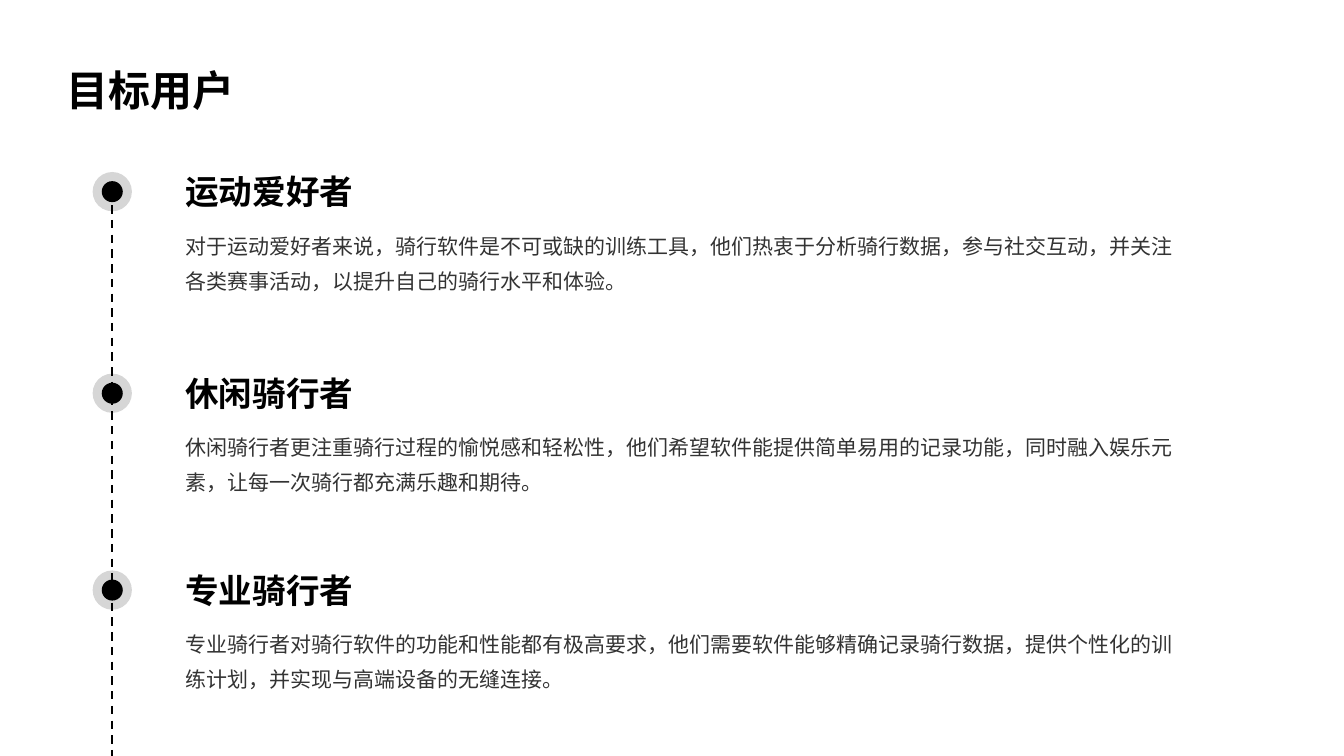
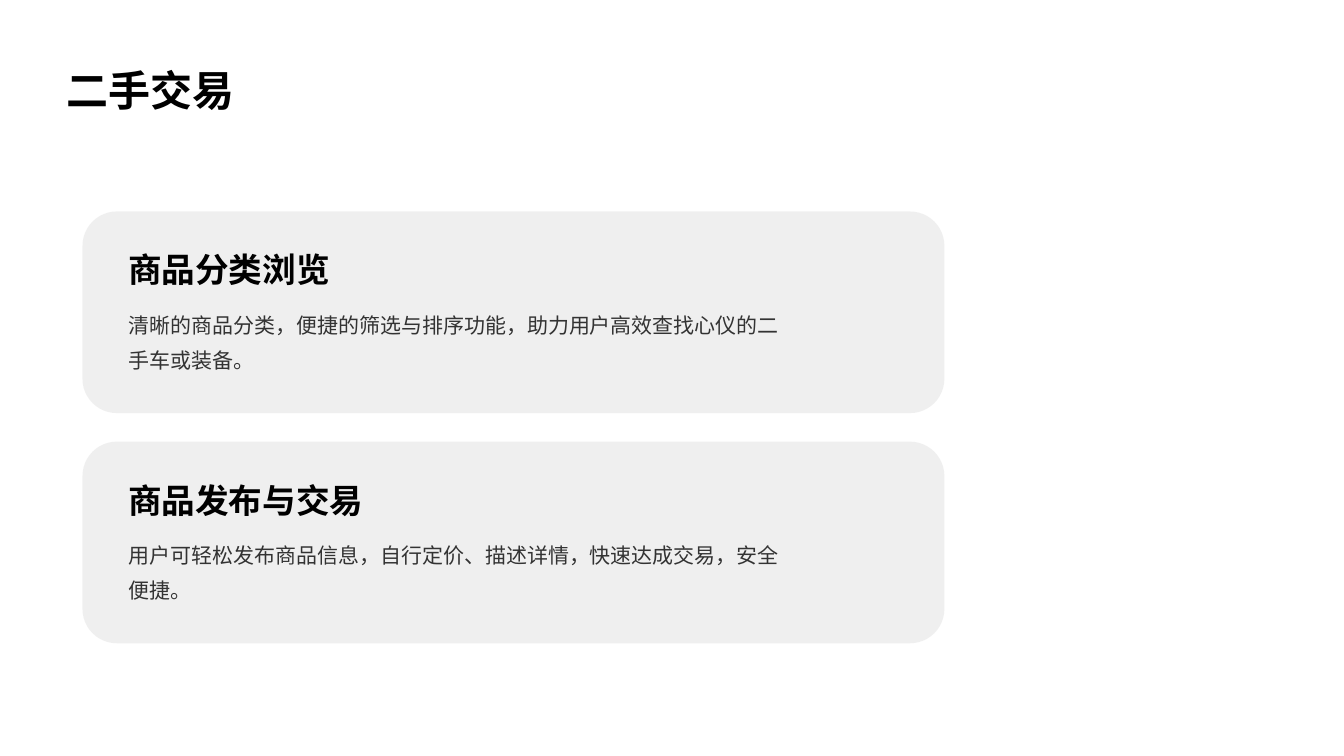
from lxml.etree import SubElement as Sub
from pptx import Presentation as Deck
from pptx.dml.color import RGBColor as RGB
from pptx.enum.dml import MSO_LINE as Dash
from pptx.enum.shapes import MSO_CONNECTOR as Link, MSO_SHAPE as Form
from pptx.enum.text import MSO_ANCHOR as Anchor
from pptx.oxml.ns import qn
from pptx.util import Cm, Pt

BLACK = RGB(0x00, 0x00, 0x00)
GREY = RGB(0x33, 0x33, 0x33)
PALE = RGB(0xEC, 0xEC, 0xEC)
FACE = "Noto Sans CJK SC"
WIDE, HIGH = 33.87, 19.05

SIDES = ("margin_left", "margin_top", "margin_right", "margin_bottom")
FLUSH = dict.fromkeys(SIDES, 0)
INSET = dict(zip(SIDES, map(Cm, (0.36, 0.36, 0.15, 0.36))))
TITLE = {"size": Pt(30), "bold": True}
HEAD = {"size": Pt(24), "bold": True}
BODY = {"size": Pt(15), "bold": False}

USERS = (
    (3.78, "运动爱好者", "对于运动爱好者来说，骑行软件是不可或缺的训练工具，他们热衷于分析骑行数据，参与社交互动，并关注各类赛事活动，以提升自己的骑行水平和体验。"),
    (8.86, "休闲骑行者", "休闲骑行者更注重骑行过程的愉悦感和轻松性，他们希望软件能提供简单易用的记录功能，同时融入娱乐元素，让每一次骑行都充满乐趣和期待。"),
    (13.82, "专业骑行者", "专业骑行者对骑行软件的功能和性能都有极高要求，他们需要软件能够精确记录骑行数据，提供个性化的训练计划，并实现与高端设备的无缝连接。"),
)
CARDS = (
    ("商品分类浏览", "清晰的商品分类，便捷的筛选与排序功能，助力用户高效查找心仪的二手车或装备。"),
    ("商品发布与交易", "用户可轻松发布商品信息，自行定价、描述详情，快速达成交易，安全便捷。"),
)


def apply(target, values):
    for name, value in values.items():
        setattr(target, name, value)


class Pen:
    def __init__(self):
        self.deck = Deck()
        apply(self.deck, {"slide_width": Cm(WIDE), "slide_height": Cm(HIGH)})
        self.slide = None

    def page(self, title):
        self.slide = self.deck.slides.add_slide(self.deck.slide_layouts[6])
        self.text((1.32, 0.74, 31.22, 2.54), title, TITLE, INSET, Anchor.MIDDLE)

    def text(self, box, words, font, inset, anchor=Anchor.TOP, color=BLACK, lead=1.4):
        frame = self.slide.shapes.add_textbox(*map(Cm, box)).text_frame
        apply(frame, {"word_wrap": True, "vertical_anchor": anchor, **inset})
        para = frame.paragraphs[0]
        para.line_spacing = lead
        run = para.add_run()
        run.text = words
        apply(run.font, {"name": FACE, **font})
        run.font.color.rgb = color
        Sub(run.font._element, qn("a:ea"), typeface=FACE)

    def head(self, box, words, inset, anchor):
        self.text(box, words, HEAD, inset, anchor, lead=1.2)

    def body(self, box, words, inset):
        self.text(box, words, BODY, inset, color=GREY)

    def shape(self, form, box, color, alpha=100, home=None):
        shape = (home or self.slide.shapes).add_shape(form, *map(Cm, box))
        shape.shadow.inherit = False
        shape.line.fill.background()
        shape.fill.solid()
        shape.fill.fore_color.rgb = color
        if alpha < 100:
            tint = shape._element.spPr.find(qn("a:solidFill"))[0]
            Sub(tint, qn("a:alpha"), val=str(alpha * 1000))
        return shape

    def mark(self, x, y):
        home = self.slide.shapes.add_group_shape().shapes
        for size, alpha in ((0.53, 100), (0.99, 16)):
            box = (x - size / 2, y - size / 2, size, size)
            self.shape(Form.OVAL, box, BLACK, alpha, home)

    def dashes(self, x, top, end):
        line = self.slide.shapes.add_connector(Link.STRAIGHT, *map(Cm, (x, top, x, end)))
        apply(line.line, {"width": Pt(1.5), "dash_style": Dash.DASH})
        line.line.color.rgb = BLACK
        Sub(line._element.spPr, qn("a:effectLst"))

    def card(self, top, name, words):
        card = self.shape(Form.ROUNDED_RECTANGLE, (2.08, top, 21.72, 5.08), PALE, 80)
        card.adjustments[0] = 0.17
        self.head((2.87, top + 0.47, 17.32, 1.78), name, INSET, Anchor.MIDDLE)
        self.body((2.87, top + 1.93, 17.32, 2.62), words, INSET)


def main():
    pen = Pen()

    pen.page("目标用户")
    axis = 2.83
    for top, name, words in USERS:
        pen.head((4.67, top, 24.84, 1.55), name, FLUSH, Anchor.BOTTOM)
        pen.body((4.67, top + 1.84, 24.92, 2.13), words, FLUSH)
        pen.mark(axis, top + 1.05)
    pen.dashes(axis, 4.8, HIGH)

    pen.page("二手交易")
    for row, (name, words) in enumerate(CARDS):
        pen.card(5.33 + row * 5.8, name, words)

    pen.deck.save("out.pptx")


if __name__ == "__main__":
    main()
